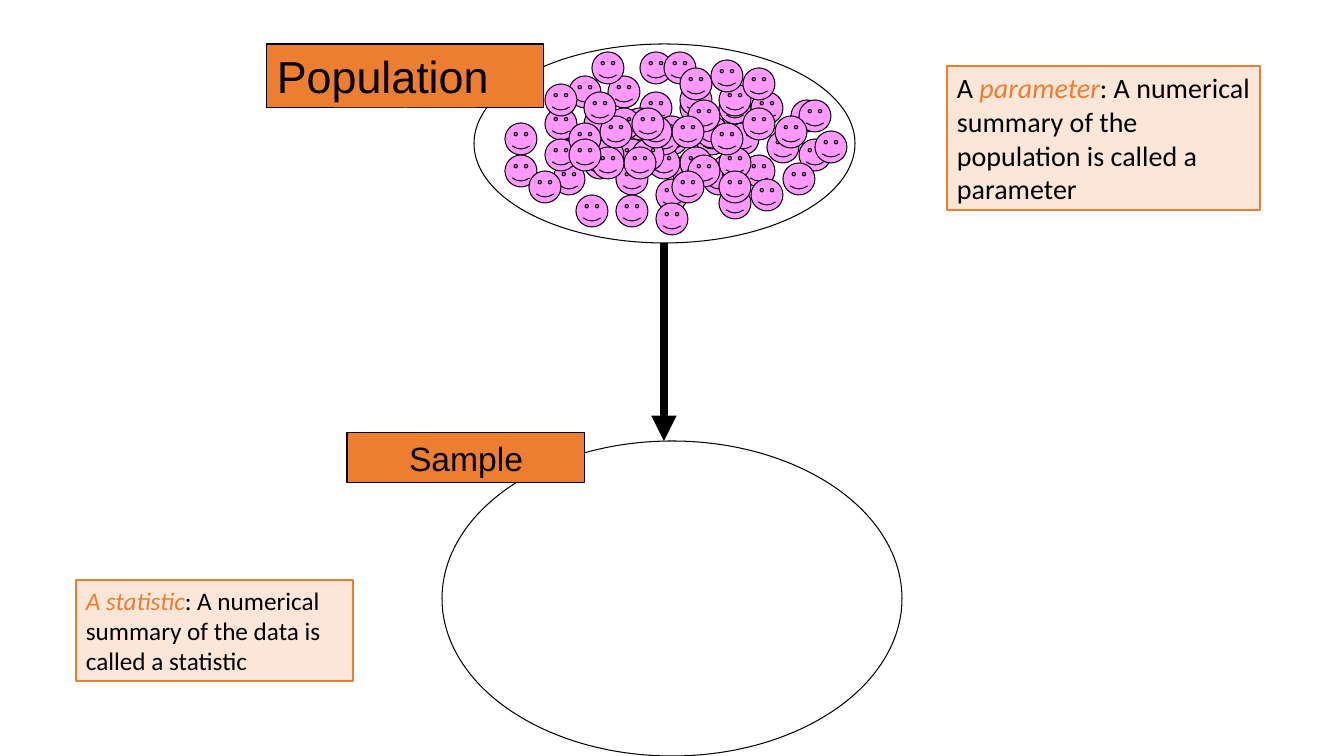
import pptx
import pptx.util
import pptx.dml.color
import pptx.enum.shapes
import pptx.enum.text
import pptx.oxml.ns
import lxml.etree

INK, ORANGE, PINK, WHITE = "000000", "ED7D31", "FF99FF", "FFFFFF"

# Content: box as left, top, width, height in px; runs as text, colour, italic
SAMPLE = (442, 441, 460, 315)
CROWD = (474, 44, 381, 199)
ARROW = (664, 243, 664, 441)
LABELS = {
    "sample": ((347, 433, 238, 50), "Arial", 24, "CENTER",
               [("Sample", INK, False)]),
    "crowd": ((267, 44, 277, 64), "Arial", 32, "LEFT",
              [("Population", INK, False)]),
}
NOTES = [
    ((76, 580, 277, 101), "Calibri", 18, "LEFT", [
        ("A statistic", ORANGE, True),
        (": A numerical summary of the data is called a statistic", INK, False)]),
    ((947, 66, 313, 144), "Calibri", 20, "LEFT", [
        ("A ", INK, False),
        ("parameter", ORANGE, True),
        (": A numerical summary of the population is called a parameter",
         INK, False)]),
]

# Faces: column and row on a fine grid, from back to front
FACES = [
    (17, 5), (19, 9), (22, 5), (24, 9), (27, 5), (5, 7), (8, 3), (10, 7),
    (13, 3), (15, 7), (17, 0), (19, 8), (22, 4), (24, 8), (27, 4), (28, 9),
    (31, 5), (33, 10), (36, 6), (37, 11), (37, 6), (30, 13), (14, 11),
    (26, 13), (21, 13), (22, 12), (25, 14), (27, 17), (6, 11), (18, 12),
    (10, 12), (19, 16), (6, 14), (5, 4), (11, 11), (18, 9), (23, 6), (5, 11),
    (27, 12), (11, 0), (14, 14), (13, 7), (16, 11), (21, 8), (27, 15),
    (12, 8), (17, 8), (26, 9), (15, 12), (11, 12), (31, 16), (0, 9), (0, 13),
    (3, 15), (8, 9), (8, 11), (16, 7), (9, 18), (14, 18), (26, 1), (23, 13),
    (34, 8), (10, 5), (21, 15), (39, 10), (30, 7), (35, 14), (20, 0), (30, 2),
    (19, 19), (22, 2),
]
LEFT, TOP, STEP, FACE = 505, 52, 7.94, 32

SCALE = 914400 / 100.8
KIND = pptx.enum.shapes.MSO_SHAPE
qn = pptx.oxml.ns.qn

deck = pptx.Presentation()
deck.slide_width, deck.slide_height = round(1344 * SCALE), round(756 * SCALE)
shapes = deck.slides.add_slide(deck.slide_layouts[6]).shapes


def emu(box):
    return [round(v * SCALE) for v in box]


def rgb(code):
    return pptx.dml.color.RGBColor.from_string(code)


def draw(kind, box, fill, line=INK, width=0.75):
    shape = shapes.add_shape(kind, *emu(box))
    shape.shadow.inherit = False
    shape.fill.solid()
    shape.fill.fore_color.rgb = rgb(fill)
    shape.line.color.rgb = rgb(line)
    shape.line.width = pptx.util.Pt(width)
    return shape


def write(shape, font, size, align, runs):
    frame = shape.text_frame
    frame.word_wrap = True
    frame.auto_size = pptx.enum.text.MSO_AUTO_SIZE.SHAPE_TO_FIT_TEXT
    frame.vertical_anchor = pptx.enum.text.MSO_ANCHOR.TOP
    para = frame.paragraphs[0]
    para.alignment = pptx.enum.text.PP_ALIGN[align]
    for text, color, slant in runs:
        run = para.add_run()
        run.text = text
        run.font.name = font
        run.font.size = pptx.util.Pt(size)
        run.font.italic = slant
        run.font.color.rgb = rgb(color)


def label(name):
    box, *rest = LABELS[name]
    write(draw(KIND.RECTANGLE, box, ORANGE), *rest)


# Sample and population
draw(KIND.OVAL, SAMPLE, WHITE)
label("sample")
draw(KIND.OVAL, CROWD, WHITE)
for col, row in FACES:
    draw(KIND.SMILEY_FACE,
         (LEFT + round(col * STEP), TOP + round(row * STEP), FACE, FACE), PINK)

# Arrow from population to sample
arrow = shapes.add_connector(pptx.enum.shapes.MSO_CONNECTOR.STRAIGHT, *emu(ARROW))
arrow.line.color.rgb = rgb(INK)
arrow.line.width = pptx.util.Pt(6)
lxml.etree.SubElement(arrow.line._get_or_add_ln(), qn("a:tailEnd"), type="triangle")
lxml.etree.SubElement(arrow._element.spPr, qn("a:effectLst"))

# Population label and tinted notes
label("crowd")
for box, *rest in NOTES:
    note = draw(KIND.RECTANGLE, box, ORANGE, ORANGE, 1)
    tint = note._element.spPr.find(qn("a:solidFill")).find(qn("a:srgbClr"))
    lxml.etree.SubElement(tint, qn("a:alpha"), val="19000")
    write(note, *rest)

deck.save("out.pptx")
